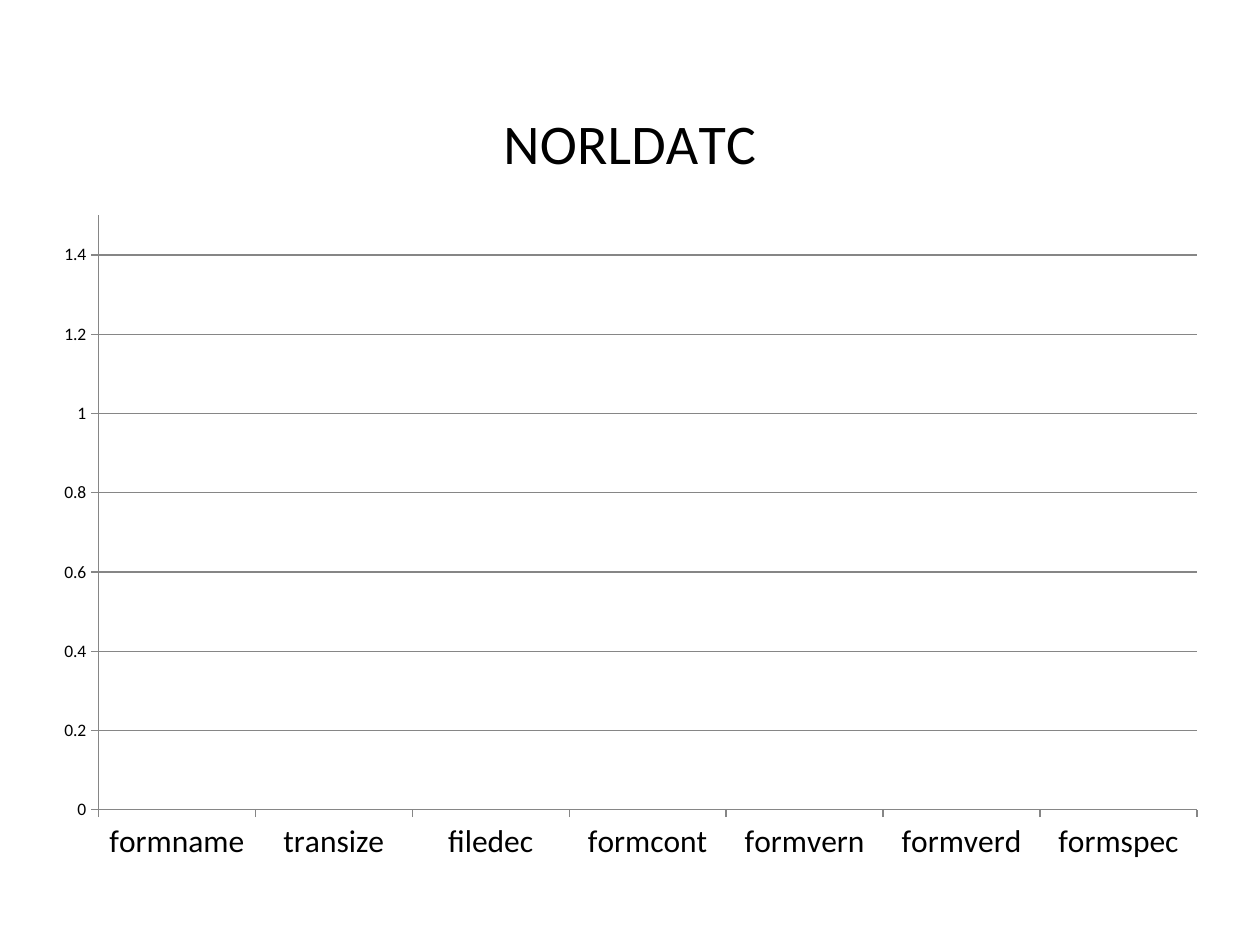
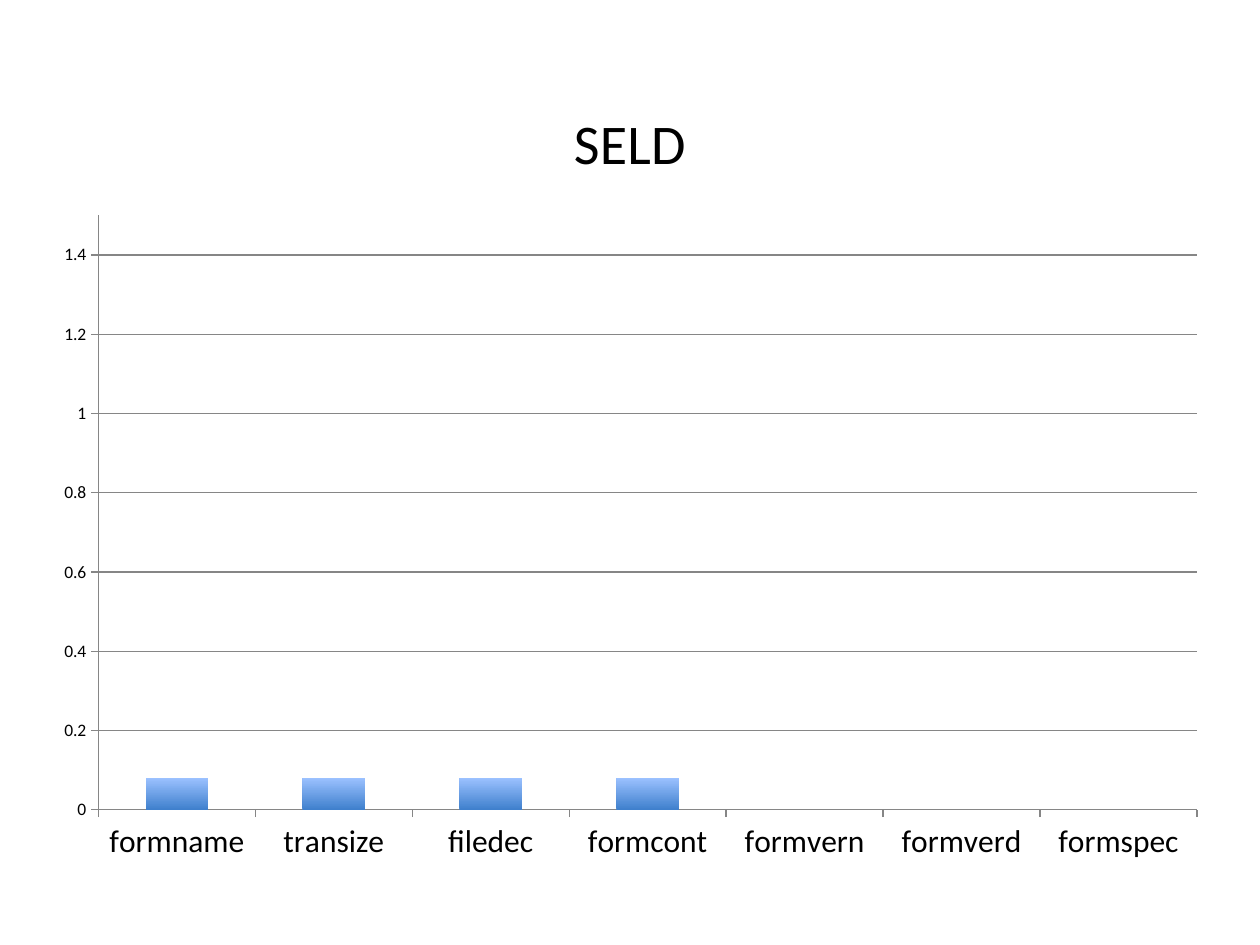
from lxml import etree
from pptx import Presentation
from pptx.chart.data import CategoryChartData
from pptx.dml.color import RGBColor
from pptx.enum.chart import XL_CHART_TYPE as ChartType, XL_TICK_MARK as TickMark
from pptx.oxml.ns import qn
from pptx.util import Pt

FONT = "Calibri"
TEXT = "000000"
RULE = "868686"
BAR_BOTTOM = "3F80CD"
BAR_TOP = "9BC1FF"
FIELDS = ["formname", "transize", "filedec", "formcont", "formvern", "formverd", "formspec"]
REPOSITORIES = {
    "NORLDATC": [0] * 7,
    "SELD": [0.08] * 4 + [0] * 3,
}
PLOT_AREA = {"x": 0.05, "y": 0.18, "w": 0.93, "h": 0.74}


def color(hex_text):
    """Turn a hex string into a colour."""
    return RGBColor.from_string(hex_text)


def style_font(font, size):
    """Apply the shared typeface and colour at a given size."""
    font.name = FONT
    font.size = Pt(size)
    font.bold = False
    font.color.rgb = color(TEXT)


def style_line(line):
    """Draw an axis or gridline as a thin grey rule."""
    line.color.rgb = color(RULE)
    line.width = Pt(0.75)


def style_axis(axis, label_size):
    """Set the rule, outward ticks and labels of an axis."""
    style_line(axis.format.line)
    axis.major_tick_mark = TickMark.OUTSIDE
    axis.minor_tick_mark = TickMark.NONE
    style_font(axis.tick_labels.font, label_size)


def place_plot(chart):
    """Fix the inner plot area as fractions of the chart."""
    plot_area = chart.element.find(".//" + qn("c:plotArea"))
    for layout in plot_area.findall(qn("c:layout")):
        plot_area.remove(layout)
    layout = etree.Element(qn("c:layout"))
    manual = etree.SubElement(layout, qn("c:manualLayout"))
    settings = {"layoutTarget": "inner", "xMode": "edge", "yMode": "edge", **PLOT_AREA}
    for tag, value in settings.items():
        etree.SubElement(manual, qn("c:" + tag)).set("val", str(value))
    plot_area.insert(0, layout)


def style_bars(plot):
    """Give the columns their gap and vertical blue gradient."""
    plot.gap_width = 150
    plot.vary_by_categories = False
    fill = plot.series[0].format.fill
    fill.gradient()
    fill.gradient_angle = 90
    for stop, shade in zip(fill.gradient_stops, (BAR_BOTTOM, BAR_TOP)):
        stop.color.rgb = color(shade)


def add_title(chart, repository):
    """Write the repository name above the columns."""
    chart.has_title = True
    heading = chart.chart_title.text_frame.paragraphs[0].add_run()
    heading.text = repository
    style_font(heading.font, 32)


def add_score_chart(slide, repository, scores):
    """Add the column chart of one repository's field scores."""
    data = CategoryChartData()
    data.categories = FIELDS
    data.add_series(repository, scores)
    chart = slide.shapes.add_chart(
        ChartType.COLUMN_CLUSTERED, Pt(22.5), Pt(40.5), Pt(675), Pt(459), data
    ).chart
    style_font(chart.font, 10)
    chart.has_legend = False
    add_title(chart, repository)
    style_axis(chart.category_axis, 18)
    score_axis = chart.value_axis
    style_axis(score_axis, 10)
    score_axis.minimum_scale = 0
    score_axis.maximum_scale = 1.5
    score_axis.major_unit = 0.2
    score_axis.has_major_gridlines = True
    style_line(score_axis.major_gridlines.format.line)
    style_bars(chart.plots[0])
    place_plot(chart)


def main():
    """Build one chart slide per repository."""
    deck = Presentation()
    deck.slide_width, deck.slide_height = Pt(720), Pt(540)
    blank = deck.slide_layouts.get_by_name("Blank")
    for repository, scores in REPOSITORIES.items():
        add_score_chart(deck.slides.add_slide(blank), repository, scores)
    deck.save("out.pptx")


main()
